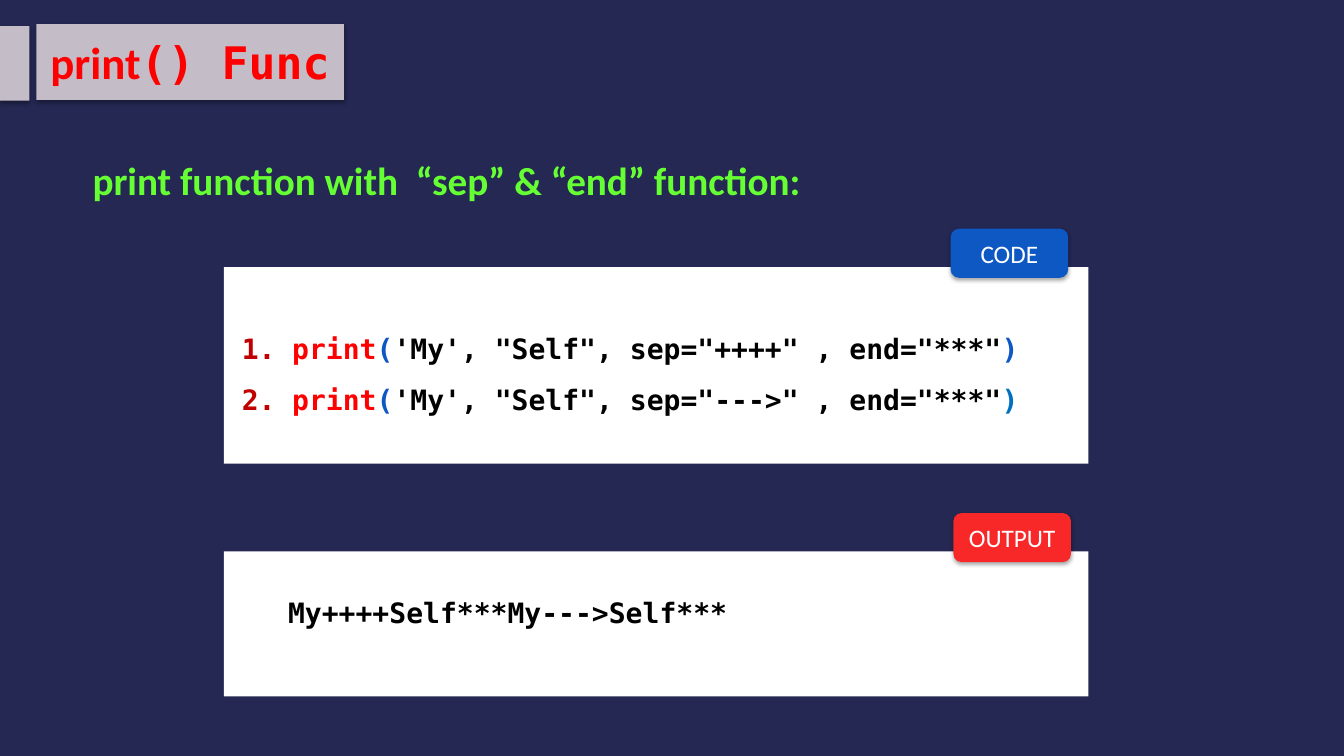
from lxml import etree
from pptx import Presentation
from pptx.dml.color import RGBColor
from pptx.enum import shapes, text
from pptx.oxml import ns
from pptx.util import Pt

NAVY = RGBColor(0x24, 0x28, 0x52)
MAUVE = RGBColor(0xC4, 0xBC, 0xC6)
GREEN = RGBColor(0x66, 0xFF, 0x33)
WHITE = RGBColor(0xFF, 0xFF, 0xFF)
BLACK = RGBColor(0x00, 0x00, 0x00)
RED = RGBColor(0xFF, 0x00, 0x00)
DARK_RED = RGBColor(0xC0, 0x00, 0x00)
TAG_RED = RGBColor(0xF8, 0x28, 0x28)
BLUE = RGBColor(0x0E, 0x58, 0xC4)
LIGHT_BLUE = RGBColor(0x00, 0x70, 0xC0)
SANS, MONO = "Calibri", "DejaVu Sans Mono"
PANEL_LEFT, PANEL_WIDTH = 160, 617.5


def add_node(parent, tag, **attributes):
    """Append a DrawingML element and return it."""
    node = etree.SubElement(parent, ns.qn(tag))
    for name, value in attributes.items():
        node.set(name, str(value))
    return node


class SlideBuilder:
    """Holds the shared style and the current slide."""

    def __init__(self, deck):
        """Add a title-only page with the navy background."""
        self.page = deck.slides.add_slide(deck.slide_layouts[5])
        self.page.background.fill.solid()
        self.page.background.fill.fore_color.rgb = NAVY

    def shade(self, box):
        """Give a shape the soft shadow that falls straight down."""
        effects = add_node(box._element.spPr, "a:effectLst")
        shadow = add_node(effects, "a:outerShdw", blurRad=Pt(3.1), dist=Pt(1.8),
                          dir=90 * 60000, rotWithShape=0)
        color = add_node(shadow, "a:srgbClr", val=BLACK)
        add_node(color, "a:alpha", val=35000)

    def add_spans(self, para, spans, size, bold=True):
        """Fill a paragraph with (wording, font, colour) spans."""
        para.font.size, para.font.bold = Pt(size), bold
        for wording, font, color in spans:
            span = para.add_run()
            span.text = wording
            span.font.name = font
            span.font.color.rgb = color

    def title(self, spans, left, top, width, height):
        """Place and format the title placeholder."""
        box = self.page.shapes.title
        box.left, box.top, box.width, box.height = map(Pt, (left, top, width, height))
        box.fill.solid()
        box.fill.fore_color.rgb = MAUVE
        self.shade(box)
        frame = box.text_frame
        frame.auto_size = text.MSO_AUTO_SIZE.NONE
        frame.vertical_anchor = text.MSO_ANCHOR.MIDDLE
        frame.paragraphs[0].alignment = text.PP_ALIGN.CENTER
        self.add_spans(frame.paragraphs[0], spans, 32)

    def block(self, left, top, width, height, color,
              kind=shapes.MSO_SHAPE.RECTANGLE, shaded=False):
        """Add a filled shape without an outline."""
        box = self.page.shapes.add_shape(kind, Pt(left), Pt(top), Pt(width), Pt(height))
        box.fill.solid()
        box.fill.fore_color.rgb = color
        box.line.fill.background()
        if shaded:
            self.shade(box)
        else:
            box.shadow.inherit = False
        return box

    def tag(self, label, left, top, color):
        """Add a rounded label that overlaps the top of a panel."""
        box = self.block(left, top, 84, 35, color,
                         shapes.MSO_SHAPE.ROUNDED_RECTANGLE, shaded=True)
        frame = box.text_frame
        frame.word_wrap = True
        frame.vertical_anchor = text.MSO_ANCHOR.MIDDLE
        frame.paragraphs[0].alignment = text.PP_ALIGN.CENTER
        self.add_spans(frame.paragraphs[0], [(label, SANS, WHITE)], 18, bold=False)

    def lines(self, left, top, width, height, rows, size, numbered=False):
        """Add a text box with one paragraph per row of spans."""
        box = self.page.shapes.add_textbox(Pt(left), Pt(top), Pt(width), Pt(height))
        frame = box.text_frame
        frame.word_wrap = True
        for index, spans in enumerate(rows):
            para = frame.add_paragraph() if index else frame.paragraphs[0]
            if numbered:
                para.space_after = Pt(12.4)
                self.number(para)
            self.add_spans(para, spans, size)

    def number(self, para):
        """Turn a paragraph into an item of a numbered list."""
        props = para._p.get_or_add_pPr()
        props.set("marL", str(Pt(36)))
        props.set("indent", str(-Pt(36)))
        add_node(add_node(props, "a:buClr"), "a:srgbClr", val=DARK_RED)
        add_node(props, "a:buFont", typeface=MONO)
        add_node(props, "a:buAutoNum", type="arabicPeriod")


def print_call(separator, closing_color):
    """Return the coloured spans of one print call."""
    arguments = f"'My', \"Self\", sep=\"{separator}\" , end=\"***\""
    return [("print", MONO, RED), ("(", MONO, BLUE),
            (arguments, MONO, BLACK), (")", MONO, closing_color)]


def main():
    """Build the slide and save it."""
    deck = Presentation()
    deck.slide_width, deck.slide_height = Pt(960), Pt(540)
    slide = SlideBuilder(deck)

    slide.block(0, 18.7, 21, 53.3, MAUVE, shaded=True)
    slide.title([("print", SANS, RED), ("() Func", MONO, RED)], 26, 17.3, 219.6, 54)
    heading = "print function with  “sep” & “end” function:"
    slide.lines(59, 108, 630, 60, [[(heading, SANS, GREEN)]], 28)

    slide.block(PANEL_LEFT, 190.8, PANEL_WIDTH, 140.4, WHITE)
    slide.tag("CODE", 679, 163.4, BLUE)
    calls = [print_call("++++", BLUE), print_call("--->", LIGHT_BLUE)]
    slide.lines(165.6, 233, 605.5, 80, calls, 20, numbered=True)

    slide.block(PANEL_LEFT, 393.8, PANEL_WIDTH, 103.7, WHITE)
    result = "My++++Self***My--->Self***"
    slide.lines(198.7, 421.5, 479.5, 32, [[(result, MONO, BLACK)]], 20)
    slide.tag("OUTPUT", 681, 366.5, TAG_RED)

    deck.save("out.pptx")


main()
